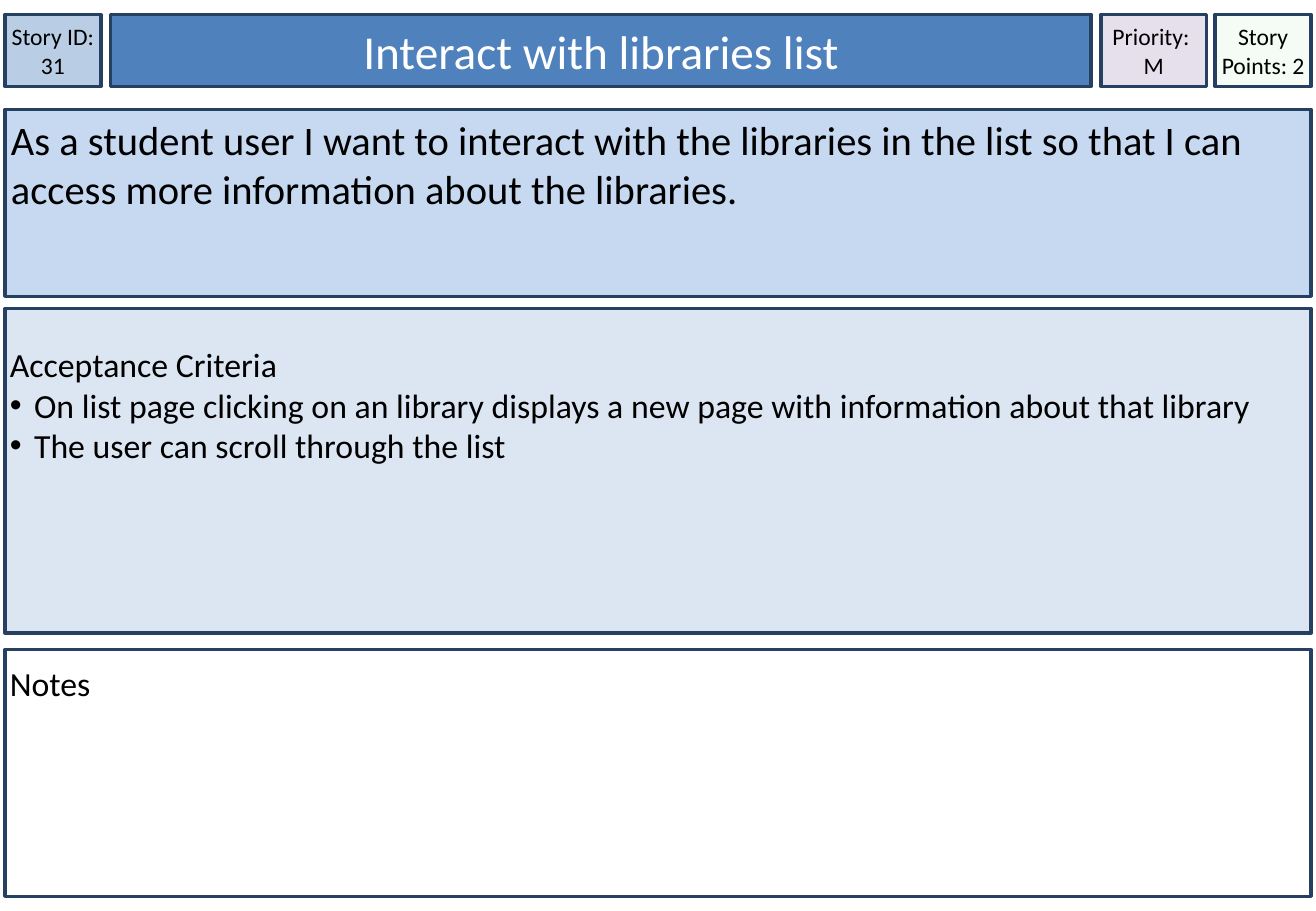
from dataclasses import dataclass

import lxml.etree
import pptx
import pptx.dml.color
import pptx.enum.shapes
import pptx.enum.text
import pptx.oxml.ns
import pptx.shapes.autoshape
import pptx.slide
import pptx.text.text
import pptx.util

PX = 9144  # 100 px to the inch
FONT = "Calibri"
COLORS = {
    "border": "254061",
    "text": "000000",
    "title_text": "FFFFFF",
    "story_id": "B9CDE5",
    "title": "4F81BD",
    "story": "C6D9F1",
    "criteria": "DCE6F2",
    "points": "CCF0CD",
    "priority": "E6E0EC",
    "notes": "FFFFFF",
}
LEFT, WIDTH = 4, 1075
HEADER_TOP, HEADER_HEIGHT = 12, 59
BULLET_INDENT = 20


@dataclass(frozen=True)
class Panel:
    fill: str
    left: int
    top: int
    width: int
    height: int
    lines: tuple[str, ...]
    size: int
    inset: int = 0
    top_inset: int = 0
    centered: bool = False
    text_color: str = "text"
    opacity: int = 100
    bullets_from: int = 99
    placeholder: int | None = None


def header(fill: str, left: int, width: int, *lines: str, size: int = 14, **options) -> Panel:
    return Panel(fill, left, HEADER_TOP, width, HEADER_HEIGHT, lines, size,
                 centered=True, **options)


def block(fill: str, top: int, height: int, *lines: str, size: int = 20, **options) -> Panel:
    return Panel(fill, LEFT, top, WIDTH, height, lines, size, **options)


PANELS = (
    header("story_id", LEFT, 79, "Story ID: 31"),
    header("title", 91, 807, "Interact with libraries list", size=28, inset=5,
           text_color="title_text", placeholder=0),
    block("story", 90, 154,
          "As a student user I want to interact with the libraries in the list "
          "so that I can access more information about the libraries.",
          size=24, inset=5, top_inset=5),
    block("criteria", 254, 267,
          "Acceptance Criteria",
          "On list page clicking on an library displays a new page with "
          "information about that library",
          "The user can scroll through the list",
          inset=4, top_inset=29, bullets_from=1, placeholder=1),
    header("points", 1000, 79, "Story Points: 2", opacity=20),
    header("priority", 906, 87, "Priority: ", "M"),
    block("notes", 535, 203, "Notes", inset=4, top_inset=11),
)


def rgb(name: str) -> pptx.dml.color.RGBColor:
    return pptx.dml.color.RGBColor.from_string(COLORS[name])


def set_bullet(paragraph: pptx.text.text._Paragraph, bulleted: bool) -> None:
    properties = paragraph._p.get_or_add_pPr()
    indent = BULLET_INDENT * PX if bulleted else 0
    properties.set("marL", str(indent))
    properties.set("indent", str(-indent))
    qualified = pptx.oxml.ns.qn
    if bulleted:
        lxml.etree.SubElement(properties, qualified("a:buFont"), typeface="Arial")
        lxml.etree.SubElement(properties, qualified("a:buChar"), char="•")
    else:
        lxml.etree.SubElement(properties, qualified("a:buNone"))


def write_text(shape: pptx.shapes.autoshape.Shape, panel: Panel) -> None:
    frame = shape.text_frame
    frame.word_wrap = True
    frame.auto_size = pptx.enum.text.MSO_AUTO_SIZE.NONE
    anchors = pptx.enum.text.MSO_ANCHOR
    frame.vertical_anchor = anchors.MIDDLE if panel.centered else anchors.TOP
    frame.margin_left = frame.margin_right = panel.inset * PX
    frame.margin_top = panel.top_inset * PX
    frame.margin_bottom = 0
    alignments = pptx.enum.text.PP_ALIGN
    for index, line in enumerate(panel.lines):
        paragraph = frame.add_paragraph() if index else frame.paragraphs[0]
        paragraph.alignment = alignments.CENTER if panel.centered else alignments.LEFT
        paragraph.space_before = pptx.util.Pt(0)
        set_bullet(paragraph, index >= panel.bullets_from)
        run = paragraph.add_run()
        run.text = line
        run.font.name = FONT
        run.font.size = pptx.util.Pt(panel.size)
        run.font.color.rgb = rgb(panel.text_color)


def draw_panel(slide: pptx.slide.Slide, panel: Panel) -> None:
    bounds = [length * PX for length in (panel.left, panel.top, panel.width, panel.height)]
    if panel.placeholder is None:
        shape = slide.shapes.add_shape(pptx.enum.shapes.MSO_SHAPE.RECTANGLE, *bounds)
        shape.shadow.inherit = False
    else:
        shape = slide.placeholders[panel.placeholder]
        shape.left, shape.top, shape.width, shape.height = bounds
    shape.fill.solid()
    shape.fill.fore_color.rgb = rgb(panel.fill)
    if panel.opacity < 100:
        color = shape._element.spPr.find(".//" + pptx.oxml.ns.qn("a:srgbClr"))
        lxml.etree.SubElement(color, pptx.oxml.ns.qn("a:alpha"), val=str(panel.opacity * 1000))
    shape.line.color.rgb = rgb("border")
    shape.line.width = pptx.util.Pt(2)
    write_text(shape, panel)


def main() -> None:
    presentation = pptx.Presentation()
    presentation.slide_width = 1083 * PX
    presentation.slide_height = 750 * PX
    slide = presentation.slides.add_slide(presentation.slide_layouts[1])
    for panel in PANELS:
        draw_panel(slide, panel)
    presentation.save("out.pptx")


if __name__ == "__main__":
    main()
